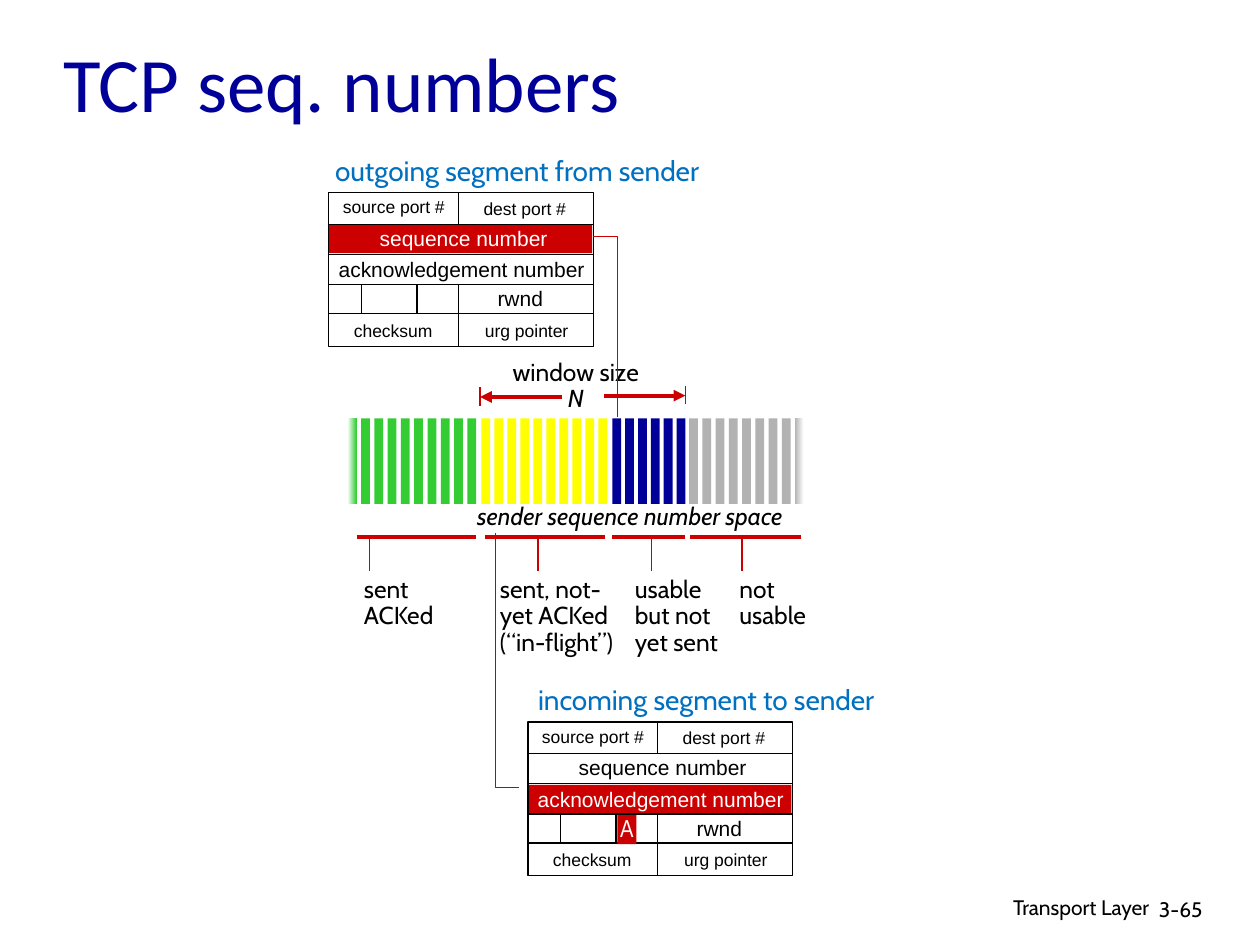
from lxml import etree
from pptx import Presentation
from pptx.dml.color import RGBColor
from pptx.enum.shapes import MSO_CONNECTOR, MSO_SHAPE
from pptx.enum.text import MSO_ANCHOR, PP_ALIGN
from pptx.oxml.ns import qn
from pptx.util import Pt

PX = 9144  # 100 px to the inch
RECT, STRAIGHT = MSO_SHAPE.RECTANGLE, MSO_CONNECTOR.STRAIGHT
LEFT, CENTER, RIGHT = PP_ALIGN.LEFT, PP_ALIGN.CENTER, PP_ALIGN.RIGHT
COLORS = {"black": "000000", "white": "FFFFFF", "red": "CC0000", "navy": "000099",
          "blue": "0070C0", "green": "33CC33", "yellow": "FFFF00", "gray": "B2B2B2"}

# Segment header, measured from its top left corner
HEADER_W, HEADER_H = 210, 122
FIELDS = [("source port #", 10, (-1, -2, 105, 27)), ("dest port #", 10, (109, -1, 93, 27)),
          ("sequence number", 12, (28, 21, 158, 30)),
          ("acknowledgement number", 12, (-5, 46, 221, 30)),
          ("checksum", 10, (8, 96, 86, 27)), ("rwnd", 12, (122, 69, 60, 30)),
          ("urg pointer", 10, (110, 96, 94, 27))]
ROW_LINES = [25, 49, 73, 96]
COLUMN_LINES = [(103, 0, 25), (103, 73, 122), (70, 73, 96), (26, 73, 96)]
SEGMENTS = [
    {"at": (261, 153), "marked": "sequence number", "band": 25,
     "title": "outgoing segment from sender", "title_at": (249, 117, 323, 37),
     "link": [(471, 188), (490, 188), (490, 331)]},
    {"at": (419, 573), "marked": "acknowledgement number", "band": 50,
     "title": "incoming segment to sender", "title_at": (411, 537, 299, 37),
     "link": [(412, 625), (393, 625), (393, 423)]},
]

# Sequence number space: colour, first bar, last bar, number of bars
BAR_Y, BAR_W, BAR_H = 332, 7, 68
BARS = [("green", 276, 371, 10), ("yellow", 382, 475, 10),
        ("navy", 486, 537, 6), ("gray", 547, 631, 9)]
FADES = {276: ("white", "green"), 631: ("gray", "white")}

# Bracket start and end, tick, label lines, label left and width
RANGES = [(283, 378, 293, ["sent", "ACKed"], 279, 76),
          (385, 480, 427, ["sent, not-yet ACKed", "(“in-flight”)"], 387, 117),
          (486, 544, 517, ["usable", "but not", "yet sent"], 494, 117),
          (548, 636, 589, ["not", "usable"], 577, 90)]
# Window arrows: tail x, head x, y
ARROWS = [(479, 544, 314), (446, 381, 315)]

prs = Presentation()
prs.slide_width, prs.slide_height = 1000 * PX, 750 * PX
s = prs.slides.add_slide(prs.slide_layouts[5])


def rgb(name):
    return RGBColor.from_string(COLORS[name])


def emu(*lengths):
    return [round(v * PX) for v in lengths]


def style(font, **values):
    font.color.rgb = rgb(values.pop("color", "black"))
    for name, value in values.items():
        setattr(font, name, value)


def text(lines, box, size, name="Cabin", align=LEFT, wrap=False, spacing=None, **fmt):
    tf = s.shapes.add_textbox(*emu(*box)).text_frame
    tf.word_wrap = wrap
    for i, line in enumerate(lines):
        p = tf.paragraphs[0] if i == 0 else tf.add_paragraph()
        p.alignment, p.line_spacing = align, spacing
        r = p.add_run()
        r.text = line
        style(r.font, size=Pt(size), name=name, **fmt)
    return tf


def rect(box, fill=None, outline=None):
    sp = s.shapes.add_shape(RECT, *emu(*box))
    sp.shadow.inherit = False
    if isinstance(fill, tuple):
        sp.fill.gradient()
        sp.fill.gradient_angle = 0
        for stop, position, color in zip(sp.fill.gradient_stops, (0, 1), fill):
            stop.position, stop.color.rgb = position, rgb(color)
    elif fill:
        sp.fill.solid()
        sp.fill.fore_color.rgb = rgb(fill)
    else:
        sp.fill.background()
    if outline:
        sp.line.color.rgb, sp.line.width = rgb(outline), Pt(0.75)
    else:
        sp.line.fill.background()


def line(x1, y1, x2, y2, color="red", width=0.75, arrow=False):
    c = s.shapes.add_connector(STRAIGHT, *emu(x1, y1, x2, y2))
    c.line.color.rgb, c.line.width = rgb(color), Pt(width)
    if arrow:
        etree.SubElement(c.line._get_or_add_ln(), qn("a:tailEnd"), type="triangle")
    etree.SubElement(c._element.spPr, qn("a:effectLst"))


def link(points):
    start, *rest = [tuple(emu(*point)) for point in points]
    builder = s.shapes.build_freeform(*start, scale=1.0)
    builder.add_line_segments(rest, close=False)
    sp = builder.convert_to_shape()
    sp.shadow.inherit = False
    sp.fill.background()
    sp.line.color.rgb, sp.line.width = rgb("red"), Pt(0.75)


def segment(at, marked, band, title, title_at, link_points):
    x, y = at
    rect((x, y + band, HEADER_W - 1, 23), "red")
    rect((x, y, HEADER_W, HEADER_H), outline="black")
    for label, size, (dx, dy, w, h) in FIELDS:
        text([label], (x + dx, y + dy, w, h), size, "Arial", CENTER,
             color="white" if label == marked else "black")
    for dy in ROW_LINES:
        line(x, y + dy, x + HEADER_W, y + dy, "black")
    for dx, top, bottom in COLUMN_LINES:
        line(x + dx, y + top, x + dx, y + bottom, "black")
    text([title], title_at, 16, align=CENTER, color="blue")
    link(link_points)


# Title and footer
title = s.shapes.title
title.left, title.top, title.width, title.height = emu(40, 16, 850, 97)
title.text_frame.vertical_anchor = MSO_ANCHOR.MIDDLE
p = title.text_frame.paragraphs[0]
p.alignment = LEFT
r = p.add_run()
r.text = "TCP seq. numbers"
style(r.font, size=Pt(44), name="Calibri", color="navy")
text(["Transport Layer"], (605, 705, 317, 31), 12, align=RIGHT, wrap=True)
text(["3-65"], (910, 707, 74, 30), 12, wrap=True)

# Bars of the sequence number space
for color, first, last, count in BARS:
    for i in range(count):
        x = first + i * (last - first) / (count - 1)
        rect((x, BAR_Y, BAR_W, BAR_H), FADES.get(x, color))

# Ranges below the bars
for x1, x2, tick, lines, left, width in RANGES:
    line(x1, 426, x2, 426, width=2.25)
    line(tick, 428, tick, 453)
    text(lines, (left, 453, width, 10 + 21 * len(lines)), 14, wrap=True, spacing=0.9)

# Window size and caption
tf = text(["window size", "N"], (395, 281, 124, 52), 14, align=CENTER, spacing=0.9)
tf.paragraphs[1].runs[0].font.italic = True
for x1, x2, y in ARROWS:
    line(x1, y, x2, y, width=2.25, arrow=True)
    line(x2, y - 8, x2, y + 7)
text(["sender sequence number space"], (326, 393, 348, 33), 14, align=CENTER, italic=True)

# Segments, with the ACK flag on the incoming one
for seg in SEGMENTS:
    segment(seg["at"], seg["marked"], seg["band"], seg["title"], seg["title_at"], seg["link"])
rect((490, 647, 15, 23), "red")
text(["A"], (478, 640, 39, 33), 14, "Arial Narrow", CENTER, True, color="white")

prs.save("out.pptx")
